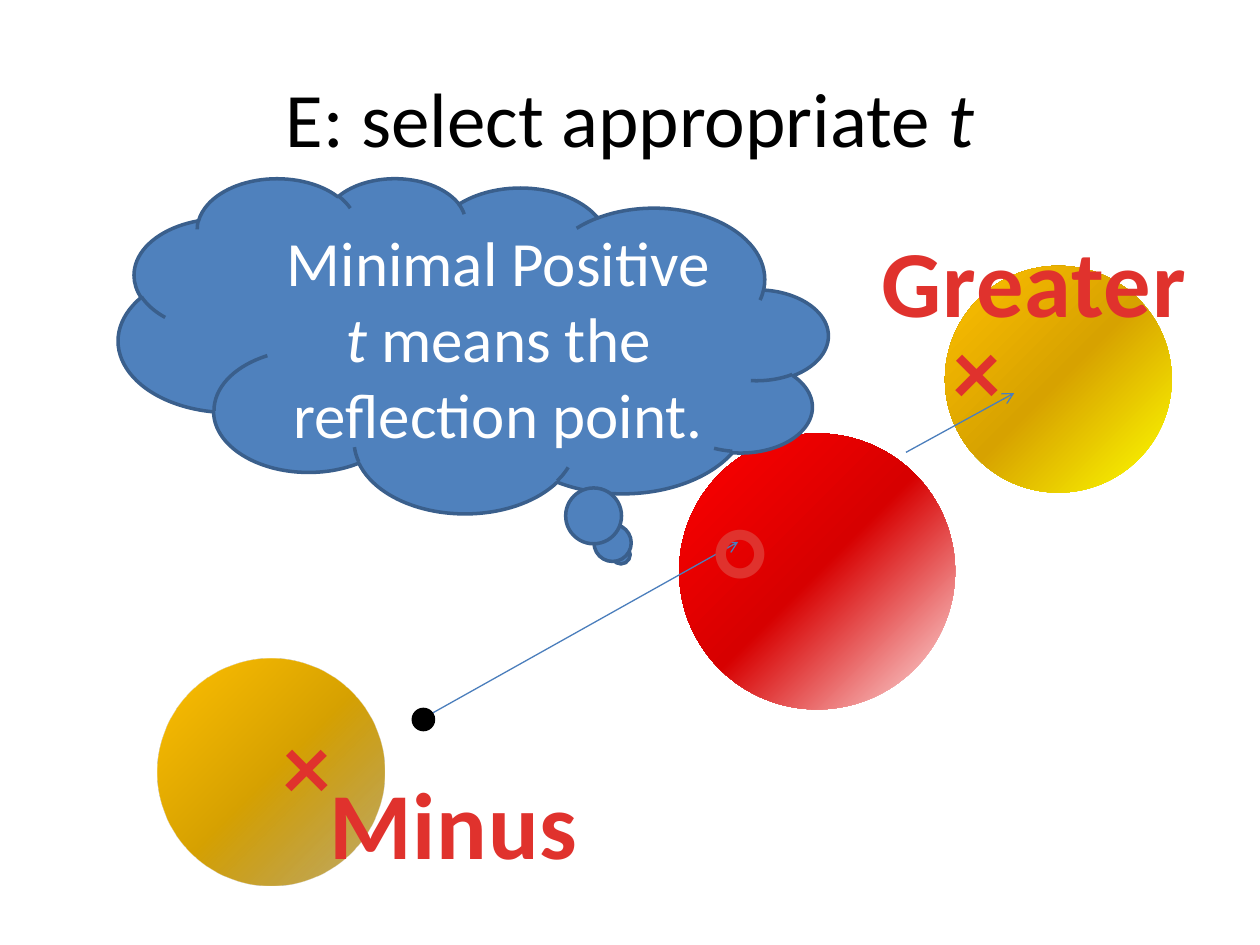
import pptx
import pptx.dml.color
import pptx.enum.shapes
import pptx.enum.text
import pptx.oxml
import pptx.oxml.ns
import pptx.util
from lxml import etree

Pt = pptx.util.Pt
RGBColor = pptx.dml.color.RGBColor
MSO_SHAPE = pptx.enum.shapes.MSO_SHAPE
ALIGN = pptx.enum.text.PP_ALIGN
ANCHOR = pptx.enum.text.MSO_ANCHOR
qn = pptx.oxml.ns.qn

BLACK = RGBColor(0, 0, 0)
WHITE = RGBColor(255, 255, 255)
BLUE = RGBColor(0x4F, 0x81, 0xBD)
DARK_BLUE = RGBColor(0x3A, 0x5F, 0x8C)
RAY_BLUE = RGBColor(0x4B, 0x7E, 0xBC)
MARK_RED = RGBColor(0xE0, 0x32, 0x2D)
GOLD = RGBColor(0xFF, 0xC0, 0x00)
DARK_GOLD = RGBColor(0xD7, 0xA2, 0x00)
BROWN = RGBColor(0x97, 0x72, 0x00)
YELLOW = RGBColor(255, 255, 0)
PINK = RGBColor(0xFF, 0xE7, 0xE7)
DARK_RED = RGBColor(0xD7, 0, 0)
RED = RGBColor(255, 0, 0)

LINEAR = '<a:lin ang="13500000" scaled="0"/>'
RADIAL = '<a:path path="circle"><a:fillToRect l="100000" t="100000"/></a:path>'


class SlideBuilder:
    font = "Calibri"

    def __init__(self, slide):
        self.slide = slide

    def add_text(self, tf, parts, size, color, bold=None):
        """Fill a frame with one centred paragraph of (text, italic) parts."""
        p = tf.paragraphs[0]
        p.alignment = ALIGN.CENTER
        for text, italic in parts:
            r = p.add_run()
            r.text = text
            r.font.name = self.font
            r.font.size = Pt(size)
            r.font.color.rgb = color
            r.font.bold = bold
            r.font.italic = italic
        return p

    def title(self, parts):
        sp = self.slide.shapes.title
        sp.left, sp.top, sp.width, sp.height = Pt(36), Pt(21.6), Pt(648), Pt(90)
        sp.text_frame.vertical_anchor = ANCHOR.MIDDLE
        self.add_text(sp.text_frame, parts, 44, BLACK)

    def shape(self, kind, x, y, w, h, fill=None, line=None):
        sp = self.slide.shapes.add_shape(kind, Pt(x), Pt(y), Pt(w), Pt(h))
        sp.shadow.inherit = False
        if fill is not None:
            sp.fill.solid()
            sp.fill.fore_color.rgb = fill
        if line is None:
            sp.line.fill.background()
        else:
            sp.line.color.rgb = line
            sp.line.width = Pt(2)
        return sp

    def sphere(self, x, y, size, colors, shading=LINEAR, first_alpha=100):
        """Circle shaded through three colours, beginning at the lower right."""
        sp = self.shape(MSO_SHAPE.OVAL, x, y, size, size)
        stops = "".join(
            f'<a:gs pos="{pos * 1000}"><a:srgbClr val="{color}">'
            f'<a:alpha val="{alpha * 1000}"/></a:srgbClr></a:gs>'
            for pos, color, alpha in zip((0, 50, 100), colors, (first_alpha, 100, 100)))
        grad = pptx.oxml.parse_xml(
            f'<a:gradFill {pptx.oxml.ns.nsdecls("a")} rotWithShape="1">'
            f'<a:gsLst>{stops}</a:gsLst>{shading}</a:gradFill>')
        sp._element.spPr.find(qn("a:prstGeom")).addnext(grad)

    def ray(self, x1, y1, x2, y2):
        line = self.slide.shapes.add_connector(
            pptx.enum.shapes.MSO_CONNECTOR.STRAIGHT, Pt(x1), Pt(y1), Pt(x2), Pt(y2))
        line.line.color.rgb = RAY_BLUE
        line.line.width = Pt(0.75)
        spPr = line._element.spPr
        etree.SubElement(spPr.find(qn("a:ln")), qn("a:tailEnd"), type="arrow")
        etree.SubElement(spPr, qn("a:effectLst"))

    def thought(self, x, y, w, h, parts):
        sp = self.shape(MSO_SHAPE.CLOUD_CALLOUT, x, y, w, h, BLUE, DARK_BLUE)
        sp._element.spPr.find(qn("a:xfrm")).set("flipH", "1")
        sp.text_frame.vertical_anchor = ANCHOR.MIDDLE
        self.add_text(sp.text_frame, parts, 36, WHITE)

    def mark(self, text, x, y, w=70):
        tf = self.slide.shapes.add_textbox(Pt(x), Pt(y), Pt(w), Pt(72.7)).text_frame
        tf.word_wrap = False
        tf.auto_size = pptx.enum.text.MSO_AUTO_SIZE.SHAPE_TO_FIT_TEXT
        p = self.add_text(tf, [(text, None)], 54, MARK_RED, bold=True)
        p.runs[0].font._element.set("spc", "50")


def main():
    prs = pptx.Presentation()
    prs.slide_width, prs.slide_height = Pt(720), Pt(540)
    s = SlideBuilder(prs.slides.add_slide(prs.slide_layouts[5]))

    s.title([("E: select appropriate ", None), ("t", True)])
    s.sphere(90, 376.6, 129.6, (BROWN, DARK_GOLD, GOLD), RADIAL, 57)
    s.sphere(540, 151.9, 129.6, (YELLOW, DARK_GOLD, GOLD))
    s.sphere(388.1, 247.7, 157.7, (PINK, DARK_RED, RED))
    s.ray(241.9, 410.4, 421.9, 309.6)
    s.thought(67.7, 101.5, 405.4, 191.5, [
        ("Minimal Positive ", None), ("t", True),
        (" means the reflection point.", False)])
    s.ray(517.7, 258.5, 579.6, 224.6)
    s.shape(MSO_SHAPE.OVAL, 236.2, 405.4, 11.5, 11.5, BLACK, BLACK)

    s.mark("○", 388.1, 275.8)
    s.mark("×", 523.4, 174.2)
    s.mark("×", 140.4, 399.6)
    s.mark("Minus", 180, 433.4, 158.4)
    s.mark("Greater", 495.4, 123.8, 190.8)

    prs.save("out.pptx")


if __name__ == "__main__":
    main()
